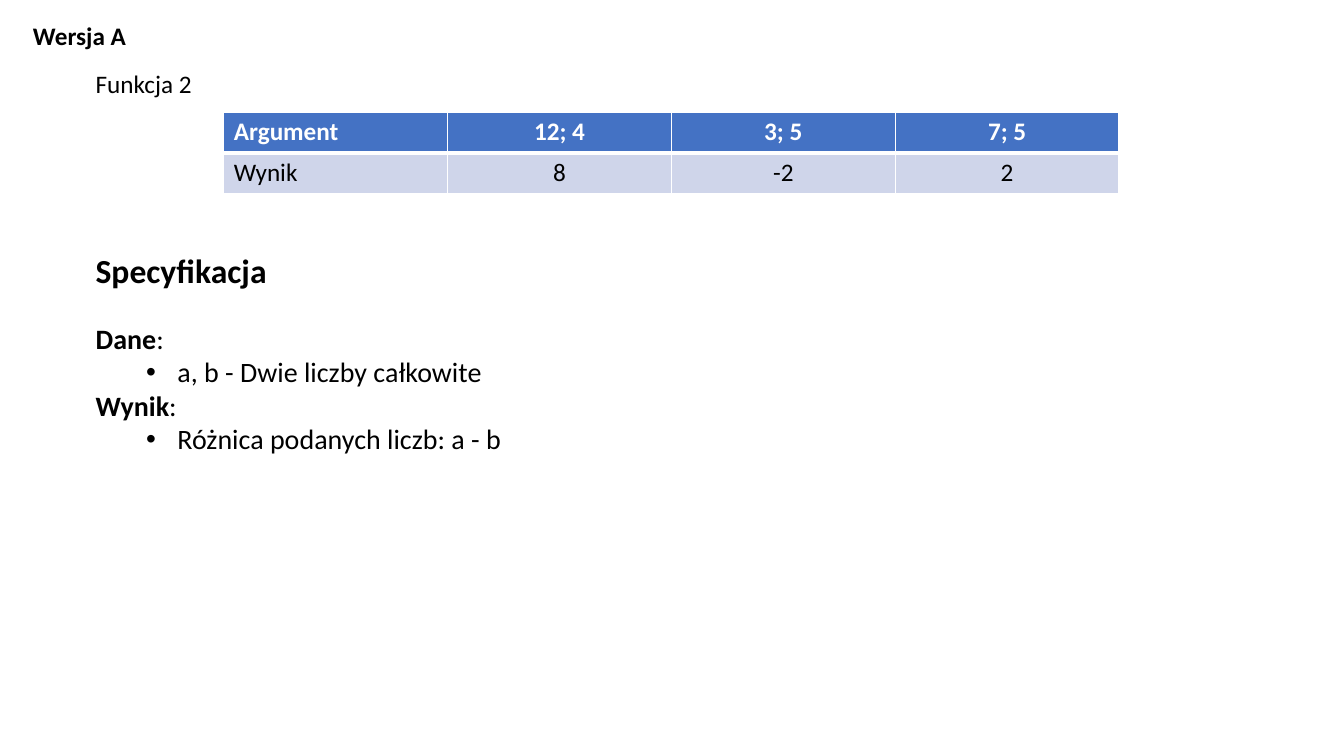
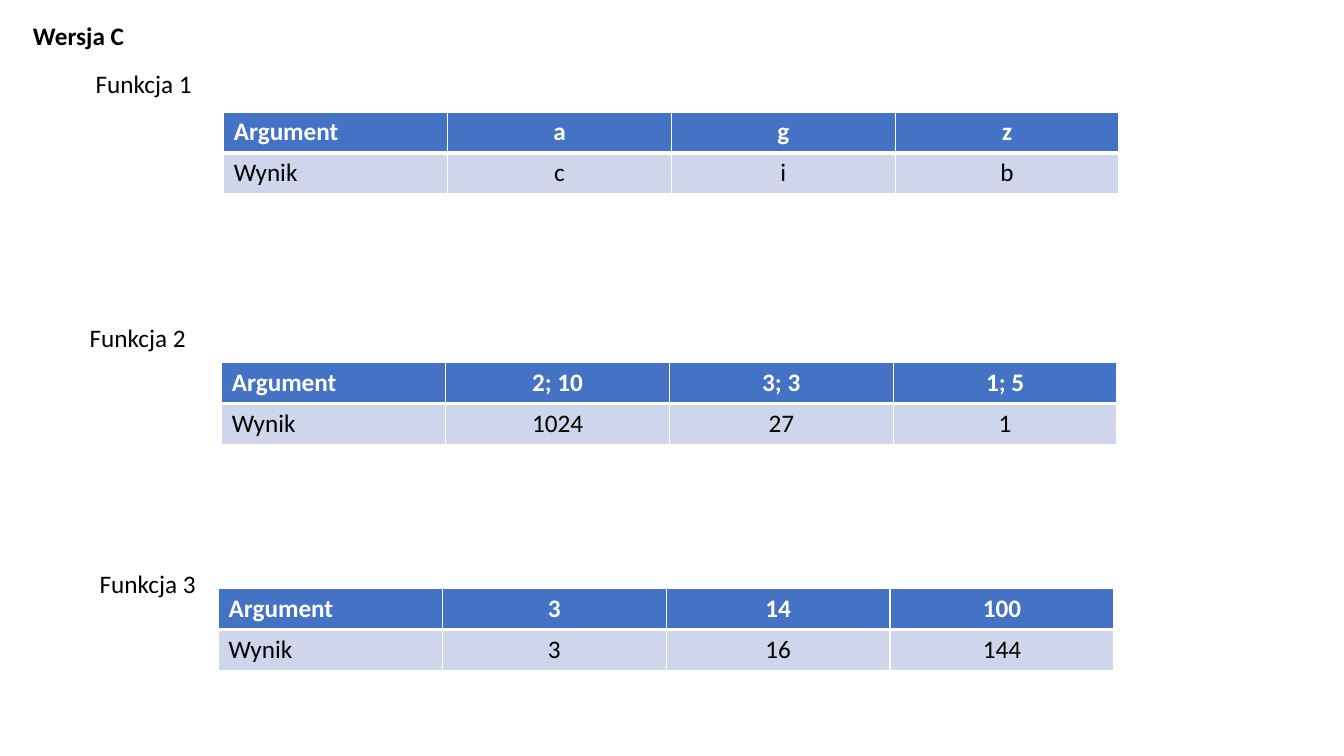
from lxml.etree import SubElement
from pptx import Presentation
from pptx.dml.color import RGBColor
from pptx.enum.text import MSO_ANCHOR as Anchor, MSO_AUTO_SIZE as AutoSize, PP_ALIGN as Align
from pptx.oxml.ns import qn
from pptx.util import Cm, Pt

# Content: label and table positions are (left, top) and widths in cm
SLIDES = [
    {
        "title": "Wersja A",
        "functions": [
            {"label": "Funkcja 2", "label_at": (2.16, 1.6), "label_width": 4.5,
             "table_at": (5.64, 2.82),
             "arguments": ["12; 4", "3; 5", "7; 5"], "results": ["8", "-2", "2"]},
        ],
        "specification": {
            "heading": "Specyfikacja",
            "parts": [
                ("Dane", ["a, b - Dwie liczby całkowite"]),
                ("Wynik", ["Różnica podanych liczb: a - b"]),
            ],
        },
    },
    {
        "title": "Wersja C",
        "functions": [
            {"label": "Funkcja 1", "label_at": (2.16, 1.6), "label_width": 4.5,
             "table_at": (5.64, 2.82),
             "arguments": ["a", "g", "z"], "results": ["c", "i", "b"]},
            {"label": "Funkcja 2", "label_at": (2.01, 8), "label_width": 3.58,
             "table_at": (5.59, 9.14),
             "arguments": ["2; 10", "3; 3", "1; 5"], "results": ["1024", "27", "1"]},
            {"label": "Funkcja 3", "label_at": (2.26, 14.2), "label_width": 3.45,
             "table_at": (5.51, 14.83),
             "arguments": ["3", "14", "100"], "results": ["3", "16", "144"]},
        ],
    },
]


# Theme and layout
class Theme:
    font = "Calibri"
    text = RGBColor.from_string("000000")
    header_text = RGBColor.from_string("FFFFFF")
    header_fill = RGBColor.from_string("4472C4")
    row_fill = RGBColor.from_string("CFD5EA")
    border = "FFFFFF"
    thin, thick = Pt(1), Pt(3)
    normal, list_size, heading = Pt(18), Pt(20), Pt(24)


TITLE_BOX = (0.58, 0.38, 2.87, 1.02)
SPECIFICATION_BOX = (2.16, 6.17, 26.06, 5.46)
LINE_HEIGHT = 1.02
COLUMN_WIDTH, ROW_HEIGHT = 5.64, 1.03
BULLET_MARGIN, BULLET_INDENT = Cm(2.06), Cm(-0.79)
TITLE_AND_CONTENT, TITLE_ONLY = 1, 5


# Text helpers
def add_run(paragraph, text, size=Theme.normal, bold=False, color=Theme.text):
    run = paragraph.add_run()
    run.text = text
    formats = {"name": Theme.font, "size": size, "bold": bold}
    for name, value in formats.items():
        setattr(run.font, name, value)
    run.font.color.rgb = color


def prepare_box(shape, box, wrap=True):
    for name, value in zip(("left", "top", "width", "height"), box):
        setattr(shape, name, Cm(value))
    frame = shape.text_frame
    formats = {
        "word_wrap": wrap, "auto_size": AutoSize.SHAPE_TO_FIT_TEXT,
        "vertical_anchor": Anchor.TOP,
        "margin_left": Cm(0.25), "margin_right": Cm(0.25),
        "margin_top": Cm(0.13), "margin_bottom": Cm(0.13),
    }
    for name, value in formats.items():
        setattr(frame, name, value)
    return frame


def format_paragraph(paragraph, bullet=False, space_before=0):
    formats = {
        "alignment": Align.LEFT, "level": int(bullet), "line_spacing": 1.0,
        "space_before": Pt(space_before), "space_after": Pt(0),
    }
    for name, value in formats.items():
        setattr(paragraph, name, value)
    properties = paragraph._p.get_or_add_pPr()
    properties.set("marL", str(BULLET_MARGIN if bullet else 0))
    properties.set("indent", str(BULLET_INDENT if bullet else 0))
    if bullet:
        SubElement(properties, qn("a:buFont"), typeface="Arial")
        SubElement(properties, qn("a:buChar"), char="•")
    else:
        SubElement(properties, qn("a:buNone"))


# Slide parts
def add_title(slide, text):
    paragraph = prepare_box(slide.shapes.title, TITLE_BOX, wrap=False).paragraphs[0]
    format_paragraph(paragraph)
    add_run(paragraph, text, bold=True)


def add_label(slide, function):
    box = (*function["label_at"], function["label_width"], LINE_HEIGHT)
    shape = slide.shapes.add_textbox(*map(Cm, box))
    add_run(prepare_box(shape, box).paragraphs[0], function["label"])


def set_borders(cell, is_header):
    properties = cell._tc.get_or_add_tcPr()
    widths = {
        "a:lnL": Theme.thin, "a:lnR": Theme.thin,
        "a:lnT": Theme.thin if is_header else Theme.thick,
        "a:lnB": Theme.thick if is_header else Theme.thin,
    }
    for side, width in widths.items():
        line = SubElement(properties, qn(side), w=str(width))
        fill = SubElement(line, qn("a:solidFill"))
        SubElement(fill, qn("a:srgbClr"), val=Theme.border)


def add_function_table(slide, function):
    rows = [["Argument", *function["arguments"]], ["Wynik", *function["results"]]]
    columns = len(rows[0])
    size = (COLUMN_WIDTH * columns, ROW_HEIGHT * len(rows))
    table = slide.shapes.add_table(
        len(rows), columns, *map(Cm, (*function["table_at"], *size))).table
    for row_index, row in enumerate(rows):
        is_header = row_index == 0
        for column_index, text in enumerate(row):
            cell = table.cell(row_index, column_index)
            set_borders(cell, is_header)
            cell.fill.solid()
            cell.fill.fore_color.rgb = Theme.header_fill if is_header else Theme.row_fill
            paragraph = cell.text_frame.paragraphs[0]
            paragraph.alignment = Align.CENTER if column_index else Align.LEFT
            add_run(paragraph, text, bold=is_header,
                    color=Theme.header_text if is_header else Theme.text)


def add_specification(slide, specification):
    frame = prepare_box(slide.placeholders[1], SPECIFICATION_BOX)
    heading = frame.paragraphs[0]
    format_paragraph(heading)
    add_run(heading, specification["heading"], Theme.heading, bold=True)
    for index, (name, items) in enumerate(specification["parts"]):
        paragraph = frame.add_paragraph()
        format_paragraph(paragraph, space_before=0 if index else 22)
        add_run(paragraph, name, Theme.list_size, bold=True)
        add_run(paragraph, ":", Theme.list_size)
        for item in items:
            paragraph = frame.add_paragraph()
            format_paragraph(paragraph, bullet=True)
            add_run(paragraph, item, Theme.list_size)


# Build the presentation
presentation = Presentation()
presentation.slide_width, presentation.slide_height = Cm(33.87), Cm(19.05)
for content in SLIDES:
    specification = content.get("specification")
    layout = TITLE_AND_CONTENT if specification else TITLE_ONLY
    slide = presentation.slides.add_slide(presentation.slide_layouts[layout])
    add_title(slide, content["title"])
    for function in content["functions"]:
        add_label(slide, function)
        add_function_table(slide, function)
    if specification:
        add_specification(slide, specification)
presentation.save("out.pptx")
